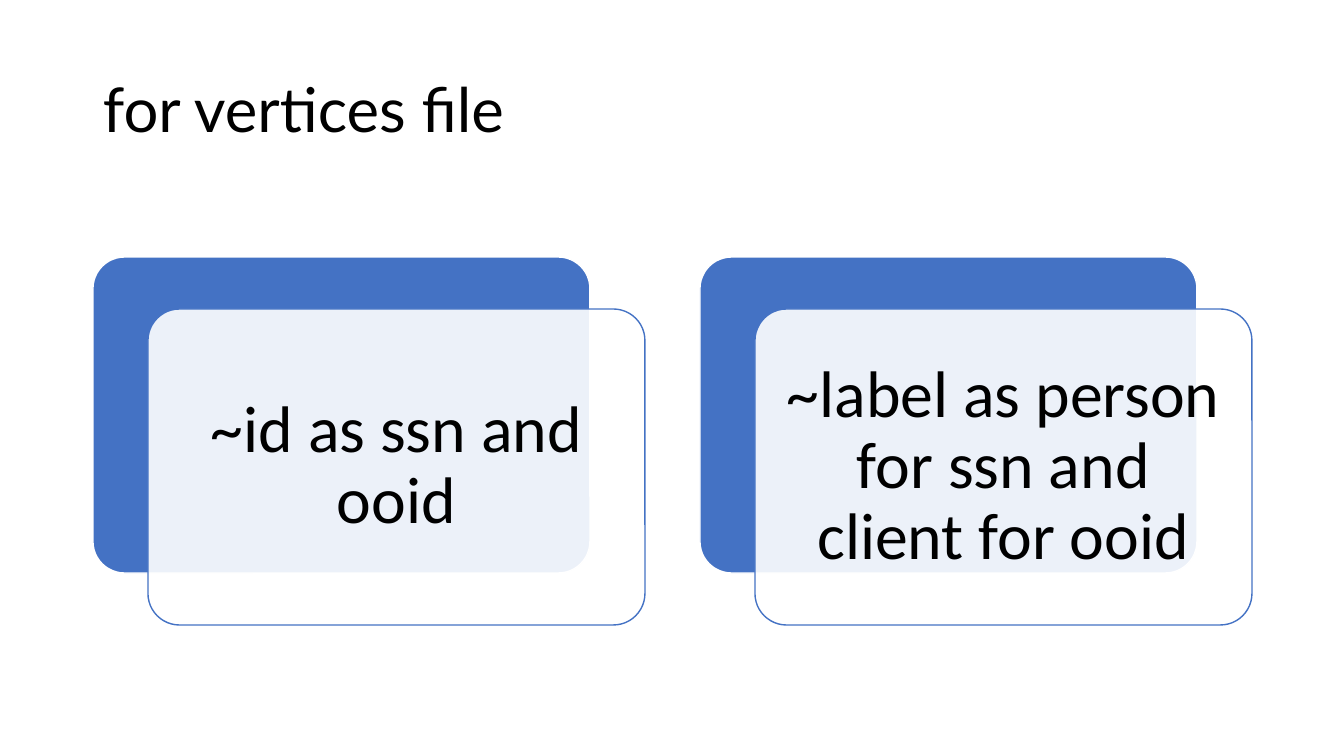
"""Builds the slide on the vertices file: a title and two layered cards."""
from lxml import etree
from pptx import Presentation, util as u
from pptx.dml.color import RGBColor
from pptx.enum import shapes, text
from pptx.oxml.ns import qn

TITLE = "for vertices file"
CARDS = ["~id as ssn and ooid", "~label as person for ssn and client for ooid"]

BLUE, WHITE, BLACK = "4472C4", "FFFFFF", "000000"
SCALE = 914400 / 100.8
LEFT, TOP, STEP = 93, 257, 607
CARD_W, CARD_H = 497, 316
SHIFT_X, SHIFT_Y = 55, 52
PAD, INSET = 9, 20


def px(n):
    return u.Emu(round(n * SCALE))


def rgb(value):
    return RGBColor.from_string(value)


def add_card(s, x, y, fill, line, alpha=None):
    sp = s.shapes.add_shape(shapes.MSO_SHAPE.ROUNDED_RECTANGLE,
                            px(x), px(y), px(CARD_W), px(CARD_H))
    sp.adjustments[0] = 0.1
    sp.shadow.inherit = False
    sp.fill.solid()
    sp.fill.fore_color.rgb = rgb(fill)
    sp.line.color.rgb = rgb(line)
    sp.line.width = u.Pt(1)
    if alpha:
        color = sp.fill._xPr.find(qn("a:solidFill"))[0]
        etree.SubElement(color, qn("a:alpha")).set("val", str(alpha * 1000))


def add_text(s, words, x, y, w, h, *, size, font, align, inset_x, inset_y):
    tf = s.shapes.add_textbox(px(x), px(y), px(w), px(h)).text_frame
    tf.word_wrap = True
    tf.vertical_anchor = text.MSO_ANCHOR.MIDDLE
    tf.margin_left = tf.margin_right = px(inset_x)
    tf.margin_top = tf.margin_bottom = px(inset_y)
    p = tf.paragraphs[0]
    p.alignment = align
    p.line_spacing = 0.9
    r = p.add_run()
    r.text = words
    r.font.size = u.Pt(size)
    r.font.name = font
    r.font.color.rgb = rgb(BLACK)


def main():
    prs = Presentation()
    prs.slide_width, prs.slide_height = px(1344), px(756)
    s = prs.slides.add_slide(prs.slide_layouts[6])
    add_text(s, TITLE, LEFT, 40, 1159, 146, size=44, font="Lato",
             align=text.PP_ALIGN.LEFT, inset_x=10, inset_y=5)
    for i, words in enumerate(CARDS):
        x = LEFT + i * STEP
        front_x, front_y = x + SHIFT_X, TOP + SHIFT_Y
        add_card(s, x, TOP, BLUE, WHITE)
        add_card(s, front_x, front_y, WHITE, BLUE, alpha=90)
        add_text(s, words, front_x + PAD, front_y + PAD,
                 CARD_W - 2 * PAD, CARD_H - 2 * PAD, size=47, font="Calibri",
                 align=text.PP_ALIGN.CENTER, inset_x=INSET, inset_y=INSET)
    prs.save("out.pptx")


if __name__ == "__main__":
    main()
